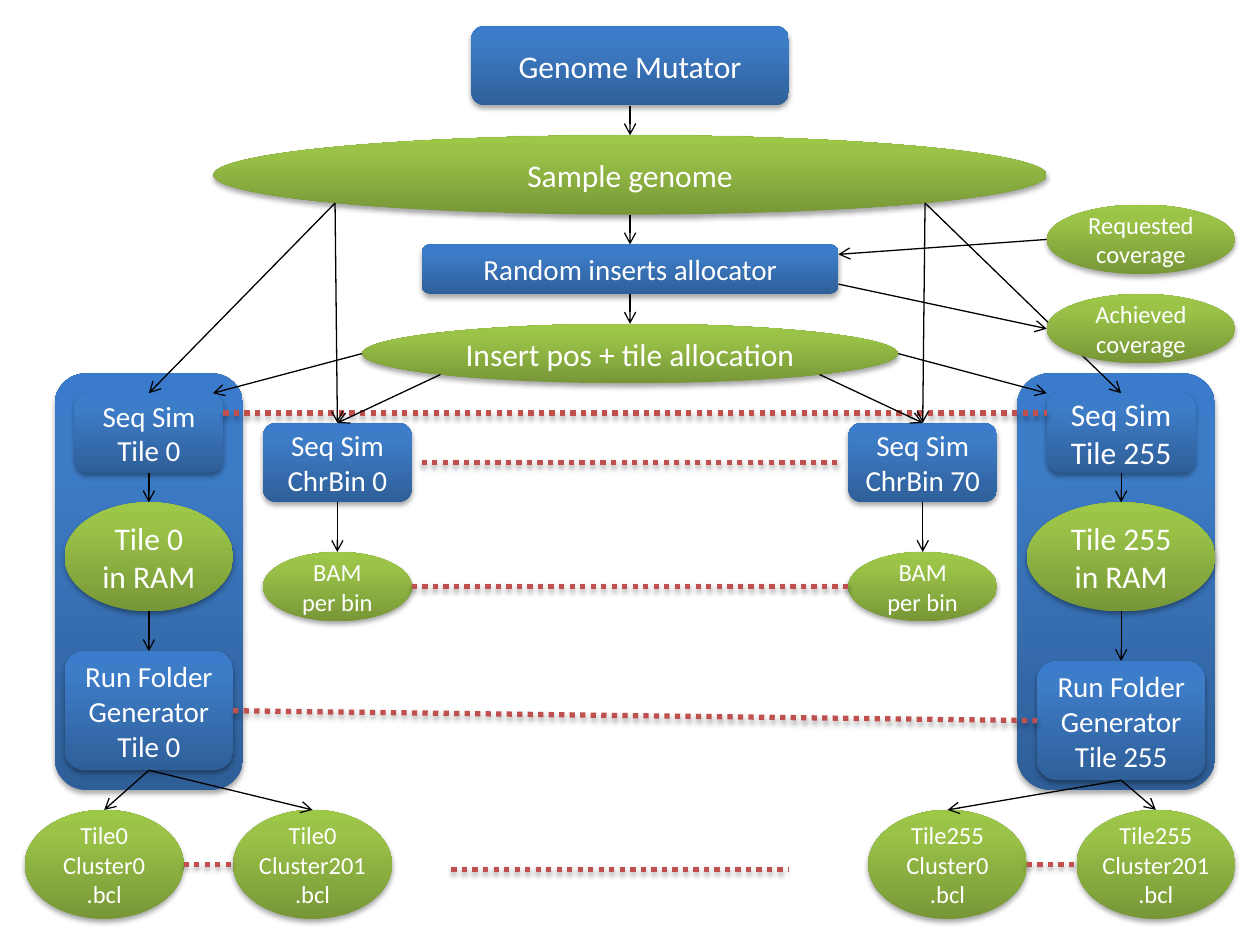
import copy
import pptx
import pptx.dml.color
import pptx.enum.dml
import pptx.enum.shapes
import pptx.enum.text
import pptx.oxml.ns
import pptx.util
from lxml import etree

TOP, BOTTOM, LEFT, RIGHT = (0.5, 0), (0.5, 1), (0, 0.5), (1, 0.5)
LOWER_LEFT, LOWER_RIGHT = (0.146, 0.854), (0.854, 0.854)


def colour(value):
    """Turn a hex string into a colour."""
    return pptx.dml.color.RGBColor.from_string(value)


def add_child(parent, tag, **attributes):
    """Append a DrawingML element to a parent."""
    child = etree.SubElement(parent, pptx.oxml.ns.qn(tag))
    for name, value in attributes.items():
        child.set(name, str(value))
    return child


class Diagram:
    """The flow chart's style and its current slide."""

    CELL, MARGIN_X, MARGIN_Y = 2 / 25.4, 0.04, 0.05
    FONT = "Calibri"
    BLUE = ((0, "2F5F99"), (0.8, "3D7CC7"), (1, "3A7CCB"))
    GREEN = ((0, "779737"), (0.8, "9BC348"), (1, "9DC746"))
    KINDS = pptx.enum.shapes.MSO_SHAPE

    def __init__(self, slide):
        """Keep the slide to draw on."""
        self.slide = slide

    def point(self, column, row):
        """Return the slide position of a grid point."""
        return (pptx.util.Inches(self.MARGIN_X + column * self.CELL),
                pptx.util.Inches(self.MARGIN_Y + row * self.CELL))

    def cast_shadow(self, effects):
        """Add the soft downward shadow to an effect list."""
        shadow = add_child(effects, "a:outerShdw", blurRad=pptx.util.Pt(3.1),
                           dist=pptx.util.Pt(1.8), dir=5400000, rotWithShape=0)
        black = add_child(shadow, "a:srgbClr", val="000000")
        add_child(black, "a:alpha", val=35000)

    def paint(self, shape, stops):
        """Fill a shape with a vertical three-stop gradient."""
        shape.fill.gradient()
        shape.fill.gradient_angle = 90
        stop_list = shape._element.spPr.find(".//" + pptx.oxml.ns.qn("a:gsLst"))
        stop_list.append(copy.deepcopy(stop_list[0]))
        for stop, (position, value) in zip(shape.fill.gradient_stops, stops):
            stop.position = position
            stop.color.rgb = colour(value)

    def label(self, shape, text, size, inset_x, inset_y):
        """Put centred white text in a shape."""
        frame = shape.text_frame
        frame.text = text
        frame.word_wrap = True
        frame.vertical_anchor = pptx.enum.text.MSO_ANCHOR.MIDDLE
        frame.margin_left = frame.margin_right = pptx.util.Inches(inset_x)
        frame.margin_top = frame.margin_bottom = pptx.util.Inches(inset_y)
        for paragraph in frame.paragraphs:
            paragraph.alignment = pptx.enum.text.PP_ALIGN.CENTER
            for run in paragraph.runs:
                run.font.name = self.FONT
                run.font.size = pptx.util.Pt(size)
                run.font.color.rgb = colour("FFFFFF")

    def node(self, kind, stops, cells):
        """Add a shaded shape at column, row, width, height."""
        column, row, width, height = cells
        shape = self.slide.shapes.add_shape(
            kind, *self.point(column, row),
            pptx.util.Inches(width * self.CELL), pptx.util.Inches(height * self.CELL))
        self.paint(shape, stops)
        shape.line.fill.background()
        shape.shadow.inherit = False
        self.cast_shadow(shape._element.spPr.find(pptx.oxml.ns.qn("a:effectLst")))
        return shape

    def step(self, cells, text="", size=16.6):
        """Add a blue process box and return its cells."""
        shape = self.node(self.KINDS.ROUNDED_RECTANGLE, self.BLUE, cells)
        if text:
            self.label(shape, text, size, 0.04, 0.04)
        return cells

    def data(self, cells, text, size=18, inset_x=0.1):
        """Add a green data oval and return its cells."""
        shape = self.node(self.KINDS.OVAL, self.GREEN, cells)
        self.label(shape, text, size, inset_x, 0.05)
        return cells

    def line(self, start, end, value, width):
        """Add a plain line and return it with its effect list."""
        connector = self.slide.shapes.add_connector(
            pptx.enum.shapes.MSO_CONNECTOR.STRAIGHT,
            *self.point(*start), *self.point(*end))
        connector.line.color.rgb = colour(value)
        connector.line.width = pptx.util.Pt(width)
        return connector, add_child(connector._element.spPr, "a:effectLst")

    def arrow(self, source, source_share, target, target_share=TOP):
        """Add an arrow between places given as shares of two nodes."""
        connector, _ = self.line(place(source, source_share),
                                 place(target, target_share), "000000", 0.75)
        outline = connector._element.spPr.find(pptx.oxml.ns.qn("a:ln"))
        add_child(outline, "a:tailEnd", type="arrow")

    def series(self, start, end):
        """Add a dotted line standing for the items in between."""
        connector, effects = self.line(start, end, "C0504D", 3)
        connector.line.dash_style = pptx.enum.dml.MSO_LINE.ROUND_DOT
        self.cast_shadow(effects)


def place(cells, share):
    """Return the grid point at a share of a node's width and height."""
    column, row, width, height = cells
    return column + share[0] * width, row + share[1] * height


presentation = pptx.Presentation()
presentation.slide_width = pptx.util.Inches(10)
presentation.slide_height = pptx.util.Inches(7.5)
diagram = Diagram(presentation.slides.add_slide(presentation.slide_layouts[6]))

mutator = diagram.step((47, 2, 32, 8), "Genome Mutator", 18)
genome = diagram.data((21, 13, 84, 8), "Sample genome")
allocator = diagram.step((42, 24, 42, 5), "Random inserts allocator")
allocation = diagram.data((36, 32, 54, 6), "Insert pos + tile allocation")

# Chromosome bins
bins, bams = [], []
for column, number in ((26, 0), (85, 70)):
    bins.append(diagram.step((column, 42, 15, 8), f"Seq Sim\nChrBin {number}"))
    bams.append(diagram.data((column, 55, 15, 7), "BAM per bin", 14))

# Tiles: number, panel, simulator, text size, memory, generator, cluster columns
TILES = (
    (0, (5, 37, 19, 42), (7, 39, 15, 8), 16.6, (6, 50, 17, 11), (6, 65, 17, 12), (2, 23)),
    (255, (102, 37, 20, 42), (105, 39, 15, 8), 18, (103, 50, 19, 11), (104, 66, 17, 12),
     (87, 108)),
)
simulators, generators = [], []
for number, panel, simulator, size, memory, generator, columns in TILES:
    diagram.step(panel)
    simulators.append(diagram.step(simulator, f"Seq Sim\nTile {number}", size))
    diagram.data(memory, f"Tile {number}\nin RAM")
    generators.append(diagram.step(generator, f"Run Folder Generator\nTile {number}"))
    clusters = [diagram.data((column, 81, 16, 11), f"Tile{number}\nCluster{cluster}\n.bcl", 14, 0)
                for column, cluster in zip(columns, (0, 201))]
    diagram.series(place(clusters[0], RIGHT), place(clusters[1], LEFT))
    middle = place(simulator, BOTTOM)[0]
    for upper, lower in ((simulator, memory), (memory, generator)):
        diagram.arrow((middle, upper[1], 0, upper[3]), BOTTOM, (middle, lower[1], 0, 0))
    for cluster in clusters:
        diagram.arrow(generator, BOTTOM, cluster)

# Dotted series between the first and the last item
diagram.series(place(simulators[0], (1, 0.25)), place(simulators[1], (0, 0.25)))
for first, last in (generators, bams):
    diagram.series(place(first, RIGHT), place(last, LEFT))
for start, end, row in ((42, 84, 46), (45, 79, 87)):
    diagram.series((start, row), (end, row))

# Flow
for upper, lower in ((mutator, genome), (genome, allocator), (allocator, allocation)):
    diagram.arrow(upper, BOTTOM, lower)
SIDES = ((LOWER_LEFT, LEFT, (0.93, 0)), (LOWER_RIGHT, RIGHT, (0, 0)))
for (lower_corner, edge, corner), simulator, chromosome, bam in zip(SIDES, simulators, bins, bams):
    diagram.arrow(genome, lower_corner, simulator)
    diagram.arrow(genome, lower_corner, chromosome)
    diagram.arrow(allocation, lower_corner, chromosome)
    diagram.arrow(allocation, edge, simulator, corner)
    diagram.arrow(chromosome, BOTTOM, bam)

# Coverage
requested = diagram.data((105, 20, 19, 7), "Requested coverage", 14)
achieved = diagram.data((105, 29, 19, 7), "Achieved coverage", 14)
diagram.arrow(requested, LEFT, allocator, (1, 0.2))
diagram.arrow(allocator, (1, 0.8), achieved, LEFT)

presentation.save("out.pptx")
